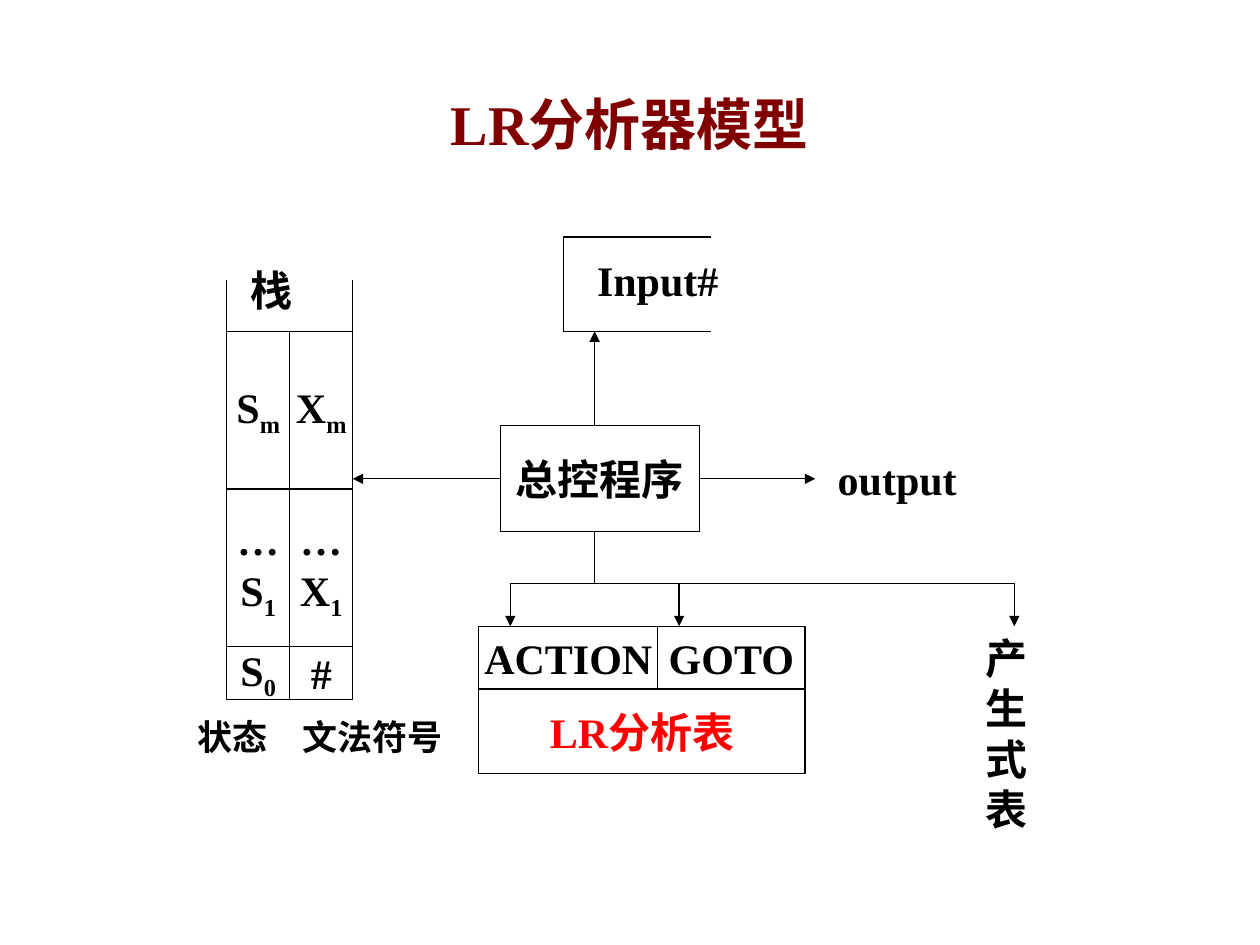
"""Build a slide showing the model of an LR parser."""
from lxml import etree
from pptx import Presentation
from pptx import util as u
from pptx.dml.color import RGBColor
from pptx.enum import shapes, text
from pptx.oxml.ns import qn

COLORS = {"title": "800000", "ink": "000000", "accent": "FF0000", "paper": "FFFFFF"}
FONT = "Times New Roman"


def write(shape, content, size=24, color="ink", align=text.PP_ALIGN.CENTER, wrap=False):
    """Fill a shape with lines of text, where an underscore starts a subscript."""
    frame = shape.text_frame
    frame.word_wrap = wrap
    for index, line in enumerate(content.split("\n")):
        paragraph = frame.paragraphs[0] if index == 0 else frame.add_paragraph()
        paragraph.alignment = align
        for position, part in enumerate(line.split("_")):
            run = paragraph.add_run()
            run.text = part
            run.font.name = FONT
            run.font.size = u.Pt(size)
            run.font.bold = True
            run.font.color.rgb = RGBColor.from_string(COLORS[color])
            if position:
                run.font._element.set("baseline", "-25000")


def connect(slide, x1, y1, x2, y2, arrow=False):
    """Draw a thin straight line, with an arrowhead at its end if asked."""
    line = slide.shapes.add_connector(
        shapes.MSO_CONNECTOR.STRAIGHT, u.Inches(x1), u.Inches(y1), u.Inches(x2), u.Inches(y2))
    line.line.color.rgb = RGBColor.from_string(COLORS["ink"])
    line.line.width = u.Pt(0.75)
    if arrow:
        etree.SubElement(line.line._get_or_add_ln(), qn("a:tailEnd"), type="triangle")
    etree.SubElement(line._element.spPr, qn("a:effectLst"))
    return line


presentation = Presentation()
presentation.slide_width = u.Inches(10)
presentation.slide_height = u.Inches(7.5)
slide = presentation.slides.add_slide(presentation.slide_layouts[5])

title = slide.shapes.title
title.left, title.top = u.Inches(0.75), u.Inches(0.37)
title.width, title.height = u.Inches(8.5), u.Inches(1.21)
title.text_frame.vertical_anchor = text.MSO_ANCHOR.MIDDLE
write(title, "LR分析器模型", 32, "title", wrap=True)

boxes = [
    ("总控程序", 3.97, 3.38, 1.58, 0.84, "ink"),
    ("ACTION", 3.8, 4.97, 1.42, 0.5, "ink"),
    ("GOTO", 5.22, 4.97, 1.17, 0.5, "ink"),
    ("LR分析表", 3.8, 5.47, 2.59, 0.67, "accent"),
]
stack_rows = [
    (("S_m", "X_m"), 2.63, 1.25),
    (("…\nS_1", "…\nX_1"), 3.88, 1.25),
    (("S_0", "#"), 5.13, 0.42),
]
for contents, top, height in stack_rows:
    for column, content in enumerate(contents):
        boxes.append((content, 1.8 + 0.5 * column, top, 0.5, height, "ink"))

drawn = {}
for content, left, top, width, height, color in boxes:
    box = slide.shapes.add_shape(
        shapes.MSO_SHAPE.RECTANGLE,
        u.Inches(left), u.Inches(top), u.Inches(width), u.Inches(height))
    box.shadow.inherit = False
    box.fill.solid()
    box.fill.fore_color.rgb = RGBColor.from_string(COLORS["paper"])
    box.line.color.rgb = RGBColor.from_string(COLORS["ink"])
    box.line.width = u.Pt(0.75)
    box.text_frame.vertical_anchor = text.MSO_ANCHOR.MIDDLE
    write(box, content, color=color)
    drawn[content] = box

labels = [
    ("output", 6.55, 3.55, 1.17, 0.5, 24),
    ("Input#", 4.64, 1.97, 1.17, 0.5, 24),
    ("栈", 1.89, 2.05, 0.75, 0.5, 24),
    ("状态", 1.47, 5.63, 1, 0.44, 20),
    ("文法符号", 2.3, 5.63, 1.5, 0.44, 20),
    ("产生式表", 7.72, 4.97, 0.67, 1.7, 24),
]
for content, left, top, width, height, size in labels:
    label = slide.shapes.add_textbox(
        u.Inches(left), u.Inches(top), u.Inches(width), u.Inches(height))
    write(label, content, size, align=text.PP_ALIGN.LEFT, wrap=True)

for y in (1.88, 2.63):
    connect(slide, 4.47, y, 5.64, y)
connect(slide, 4.47, 1.88, 4.47, 2.63)
for x in (1.8, 2.8):
    connect(slide, x, 2.63, x, 2.22)

controller = drawn["总控程序"]
connect(slide, 5.55, 3.8, 6.47, 3.8, arrow=True).begin_connect(controller, 3)
connect(slide, 3.97, 3.8, 2.8, 3.8, arrow=True).begin_connect(controller, 1)
connect(slide, 4.72, 3.38, 4.72, 2.63, arrow=True)
connect(slide, 4.72, 4.22, 4.72, 4.63)
connect(slide, 4.05, 4.63, 8.05, 4.63)
for x in (4.05, 5.39, 8.05):
    connect(slide, x, 4.63, x, 4.97, arrow=True)

presentation.save("out.pptx")
